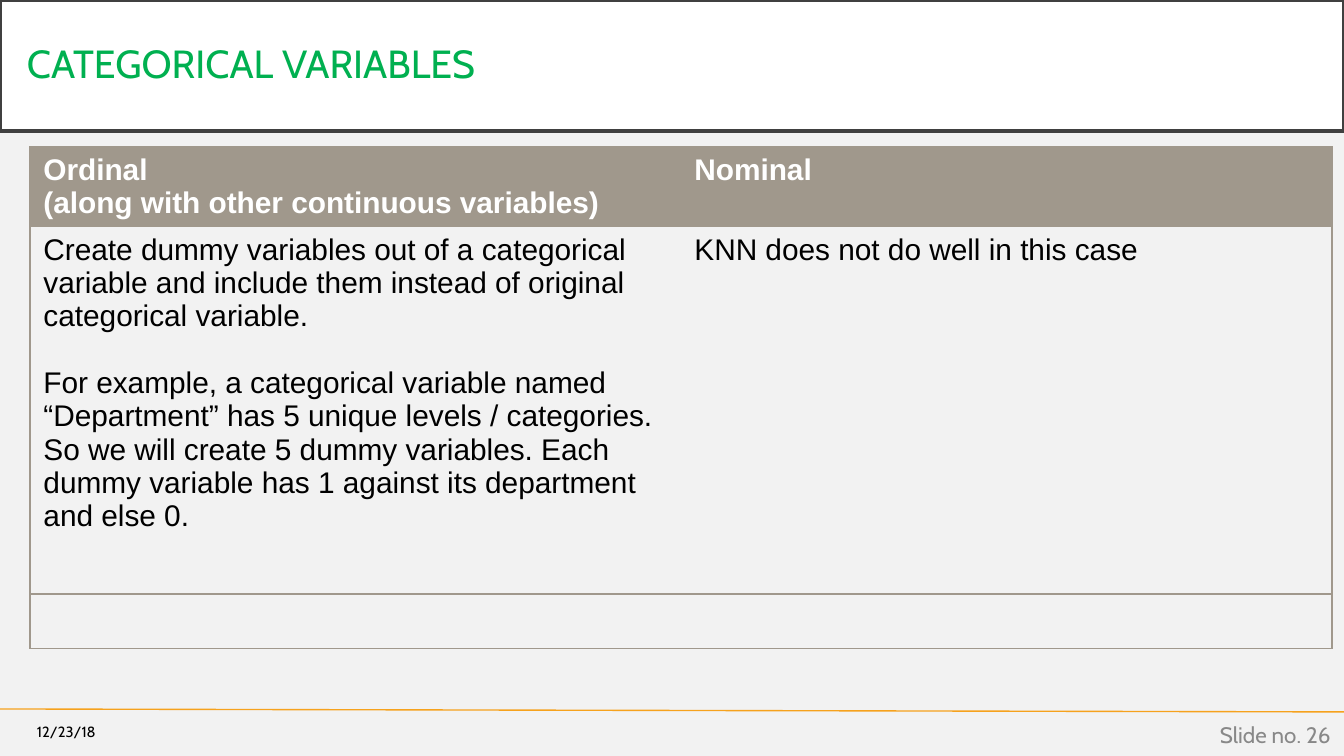
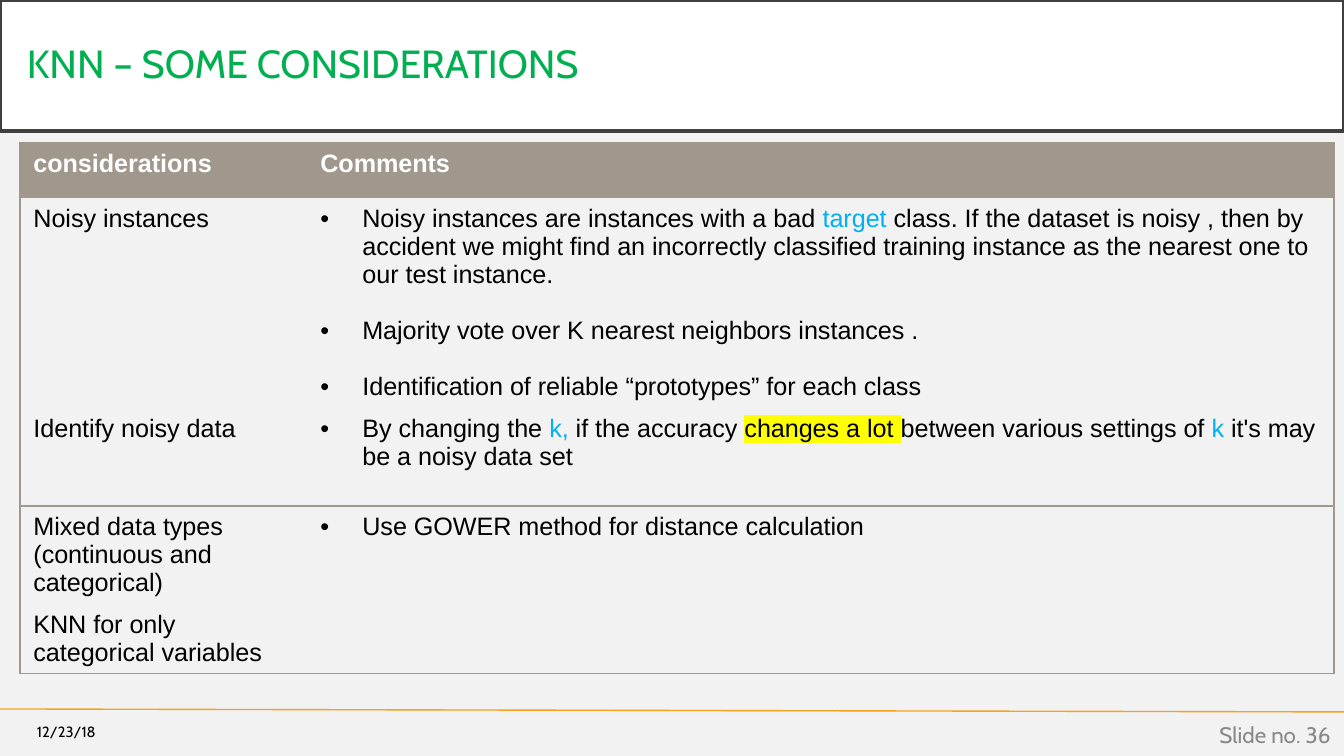
"""Build two slides on k-nearest neighbours, each with a title band, a table and a footer."""
from lxml import etree
from pptx import Presentation
from pptx import util as u
from pptx.dml.color import RGBColor
from pptx.enum import shapes, text
from pptx.oxml import parse_xml
from pptx.oxml.ns import nsdecls, qn

PX = 914400 / 134.4
BACKDROP = RGBColor(0xF2, 0xF2, 0xF2)
WHITE = RGBColor(0xFF, 0xFF, 0xFF)
BLACK = RGBColor(0x00, 0x00, 0x00)
CHARCOAL = RGBColor(0x40, 0x40, 0x40)
GREY = RGBColor(0x88, 0x88, 0x88)
TAUPE = RGBColor(0xA0, 0x98, 0x8C)
ORANGE = RGBColor(0xF6, 0xA2, 0x1D)
GREEN = RGBColor(0x00, 0xB0, 0x50)
BLUE = RGBColor(0x00, 0xB0, 0xF0)
YELLOW = RGBColor(0xFF, 0xFF, 0x00)

TITLE_FONT = {"name": "Cabin", "size": u.Pt(21)}
RULED_ROW = 3
BULLET_INDENT = 42

FOOTER_BOXES = [
    ("date", (0, 714, 109, 36), u.Pt(7.9), BLACK),
    ("number", (1042, 715, 302, 40), u.Pt(12), GREY),
]

SLIDES = [
    {
        "title": "CATEGORICAL VARIABLES",
        "date": "12/23/18",
        "number": "Slide no. 26",
        "corner": (30, 147),
        "columns": [651, 651],
        "rows": [80, 312, 54, 54],
        "size": u.Pt(16),
        "gap": u.Pt(18),
        "bulleted": False,
        "cells": [
            [["Ordinal", "(along with other continuous variables)"], ["Nominal"]],
            [
                [
                    "Create dummy variables out of a categorical variable and include "
                    "them instead of original categorical variable.",
                    "For example, a categorical variable named “Department” has 5 unique "
                    "levels / categories. So we will create 5 dummy variables. Each dummy "
                    "variable has 1 against its department and else 0.",
                ],
                ["KNN does not do well in this case"],
            ],
            [[], []],
            [[], []],
        ],
    },
    {
        "title": "KNN – SOME CONSIDERATIONS",
        "date": "12/23/18",
        "number": "Slide no. 36",
        "corner": (20, 143),
        "columns": [287, 1027],
        "rows": [55, 210, 98, 98, 69],
        "size": u.Pt(13.5),
        "gap": u.Pt(15),
        "bulleted": True,
        "cells": [
            [["considerations"], ["Comments"]],
            [
                ["Noisy instances"],
                [
                    [
                        ("Noisy instances are instances with a bad ", None),
                        ("target", BLUE),
                        (" class. If the dataset is noisy , then by accident we might "
                         "find an incorrectly classified training instance as the "
                         "nearest one to our test instance.", None),
                    ],
                    "Majority vote over K nearest neighbors instances .",
                    "Identification of reliable “prototypes” for each class",
                ],
            ],
            [
                ["Identify noisy data"],
                [
                    [
                        ("By changing the ", None),
                        ("k,", BLUE),
                        (" if the accuracy ", None),
                        ("changes a lot ", YELLOW),
                        ("between various settings of ", None),
                        ("k", BLUE),
                        (" it's may be a noisy data set", None),
                    ]
                ],
            ],
            [
                ["Mixed data types (continuous and categorical)"],
                ["Use GOWER method for distance calculation"],
            ],
            [["KNN for only categorical variables"], []],
        ],
    },
]


def px(*lengths):
    """Turn pixel lengths into EMU."""
    return [u.Emu(round(length * PX)) for length in lengths]


def write(para, content, color, formats):
    """Add one formatted run to a paragraph."""
    span = para.add_run()
    span.text = content
    span.font.color.rgb = color
    for name, value in formats.items():
        setattr(span.font, name, value)
    return span


deck = Presentation()
deck.slide_width, deck.slide_height = px(1344, 756)
backdrop = deck.slide_master.background.fill
backdrop.solid()
backdrop.fore_color.rgb = BACKDROP

for content in SLIDES:
    page = deck.slides.add_slide(deck.slide_layouts[5])

    rule = page.shapes.add_connector(shapes.MSO_CONNECTOR.STRAIGHT, *px(0, 709, 1344, 712))
    rule.line.color.rgb = ORANGE
    rule.line.width = u.Pt(0.75)
    etree.SubElement(rule._element.spPr, qn("a:effectLst"))

    band = page.shapes.title
    band.left, band.top, band.width, band.height = px(0, 0, 1344, 131)
    band.fill.solid()
    band.fill.fore_color.rgb = WHITE
    band.line.color.rgb = CHARCOAL
    band.line.width = u.Pt(2.5)
    frame = band.text_frame
    frame_formats = {
        "auto_size": text.MSO_AUTO_SIZE.NONE,
        "word_wrap": True,
        "vertical_anchor": text.MSO_ANCHOR.MIDDLE,
    }
    for name, value in frame_formats.items():
        setattr(frame, name, value)
    for side in ("left", "right", "top", "bottom"):
        setattr(frame, f"margin_{side}", u.Inches(0.2))
    para = frame.paragraphs[0]
    para.alignment = text.PP_ALIGN.LEFT
    para.line_spacing = 0.9
    write(para, content["title"], GREEN, TITLE_FONT)

    for key, place, size, color in FOOTER_BOXES:
        box = page.shapes.add_textbox(*px(*place))
        for name, value in frame_formats.items():
            setattr(box.text_frame, name, value)
        para = box.text_frame.paragraphs[0]
        para.alignment = text.PP_ALIGN.RIGHT
        write(para, content[key], color, {"name": "Cabin", "size": size})

    widths, heights = content["columns"], content["rows"]
    table = page.shapes.add_table(
        len(heights), len(widths),
        *px(*content["corner"], sum(widths), sum(heights))
    ).table
    table.first_row = table.horz_banding = False
    for column, width in zip(table.columns, px(*widths)):
        column.width = width
    for row, height in zip(table.rows, px(*heights)):
        row.height = height

    for r, row in enumerate(content["cells"]):
        for c, paragraphs in enumerate(row):
            cell = table.cell(r, c)
            edges = {
                "lnL": c == 0,
                "lnR": c == len(widths) - 1,
                "lnT": r in (0, RULED_ROW),
                "lnB": r + 1 in (RULED_ROW, len(heights)),
            }
            properties = cell._tc.get_or_add_tcPr()
            for tag, drawn in edges.items():
                paint = (
                    f'<a:solidFill><a:srgbClr val="{TAUPE}"/></a:solidFill>'
                    if drawn else "<a:noFill/>"
                )
                properties.append(parse_xml(
                    f'<a:{tag} {nsdecls("a")} w="{u.Pt(0.75)}">{paint}</a:{tag}>'
                ))
            if r == 0:
                cell.fill.solid()
                cell.fill.fore_color.rgb = TAUPE
            else:
                cell.fill.background()

            for index, parts in enumerate(paragraphs):
                frame = cell.text_frame
                para = frame.add_paragraph() if index else frame.paragraphs[0]
                if index and r:
                    para.space_before = content["gap"]
                if content["bulleted"] and r and c:
                    layout = para._p.get_or_add_pPr()
                    indent = px(BULLET_INDENT)[0]
                    layout.set("marL", str(indent))
                    layout.set("indent", str(-indent))
                    etree.SubElement(layout, qn("a:buFont"), typeface="Arial")
                    etree.SubElement(layout, qn("a:buChar"), char="•")
                formats = {"name": "Arial", "size": content["size"], "bold": r == 0}
                base = BLACK if r else WHITE
                for words, accent in [(parts, None)] if isinstance(parts, str) else parts:
                    span = write(para, words, BLUE if accent == BLUE else base, formats)
                    if accent == YELLOW:
                        span._r.rPr.find(qn("a:latin")).addprevious(parse_xml(
                            f'<a:highlight {nsdecls("a")}><a:srgbClr val="{YELLOW}"/></a:highlight>'
                        ))

deck.save("out.pptx")
